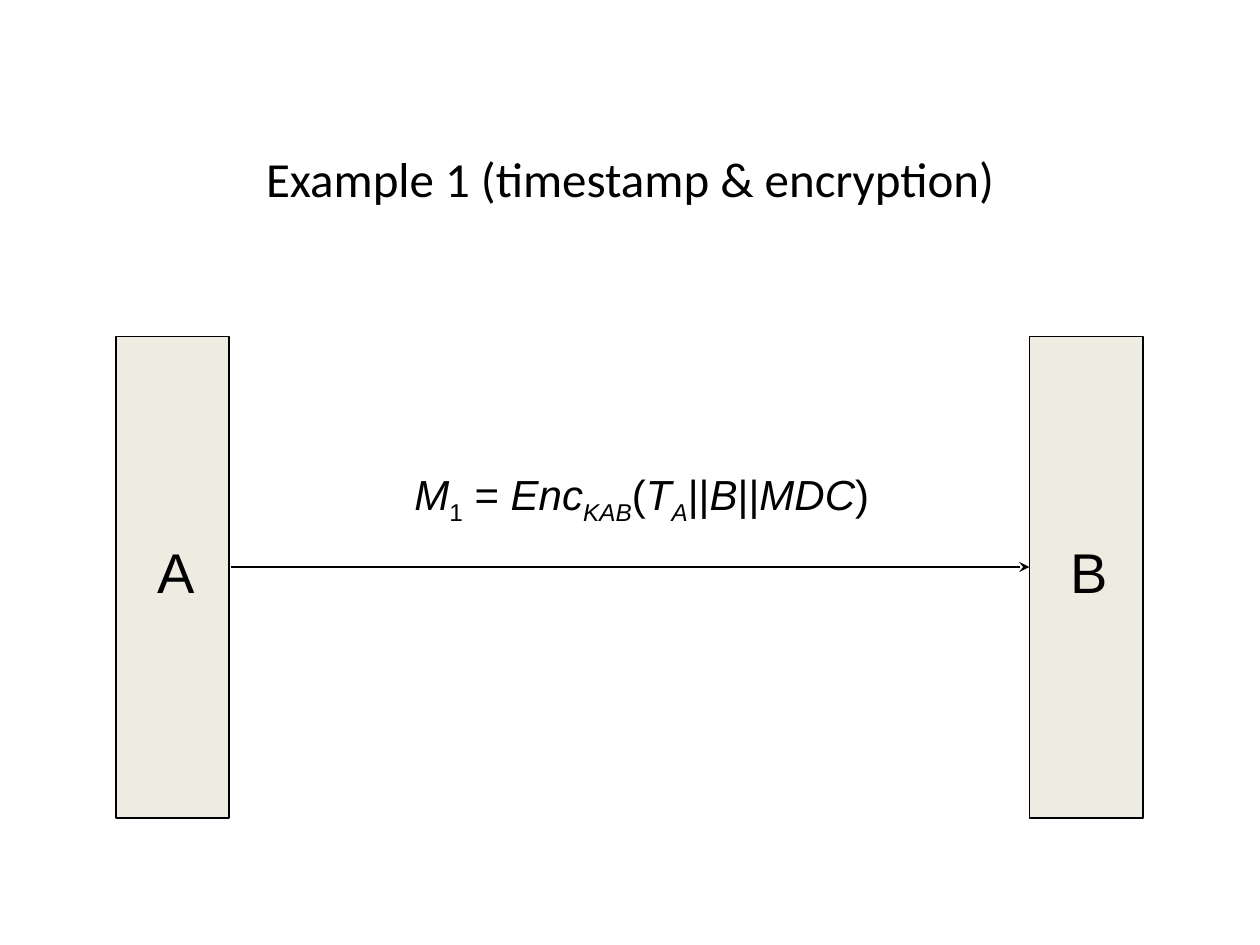
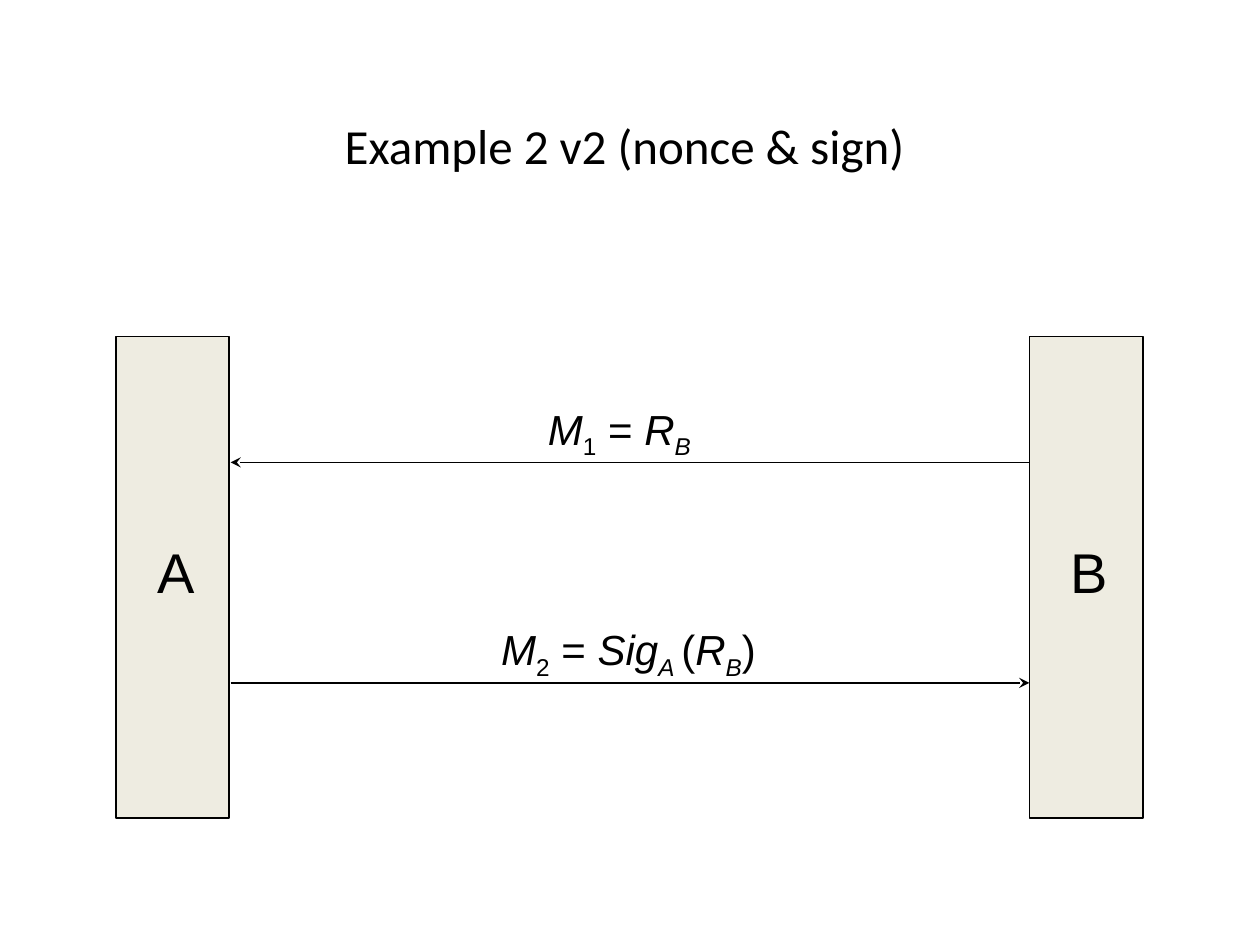
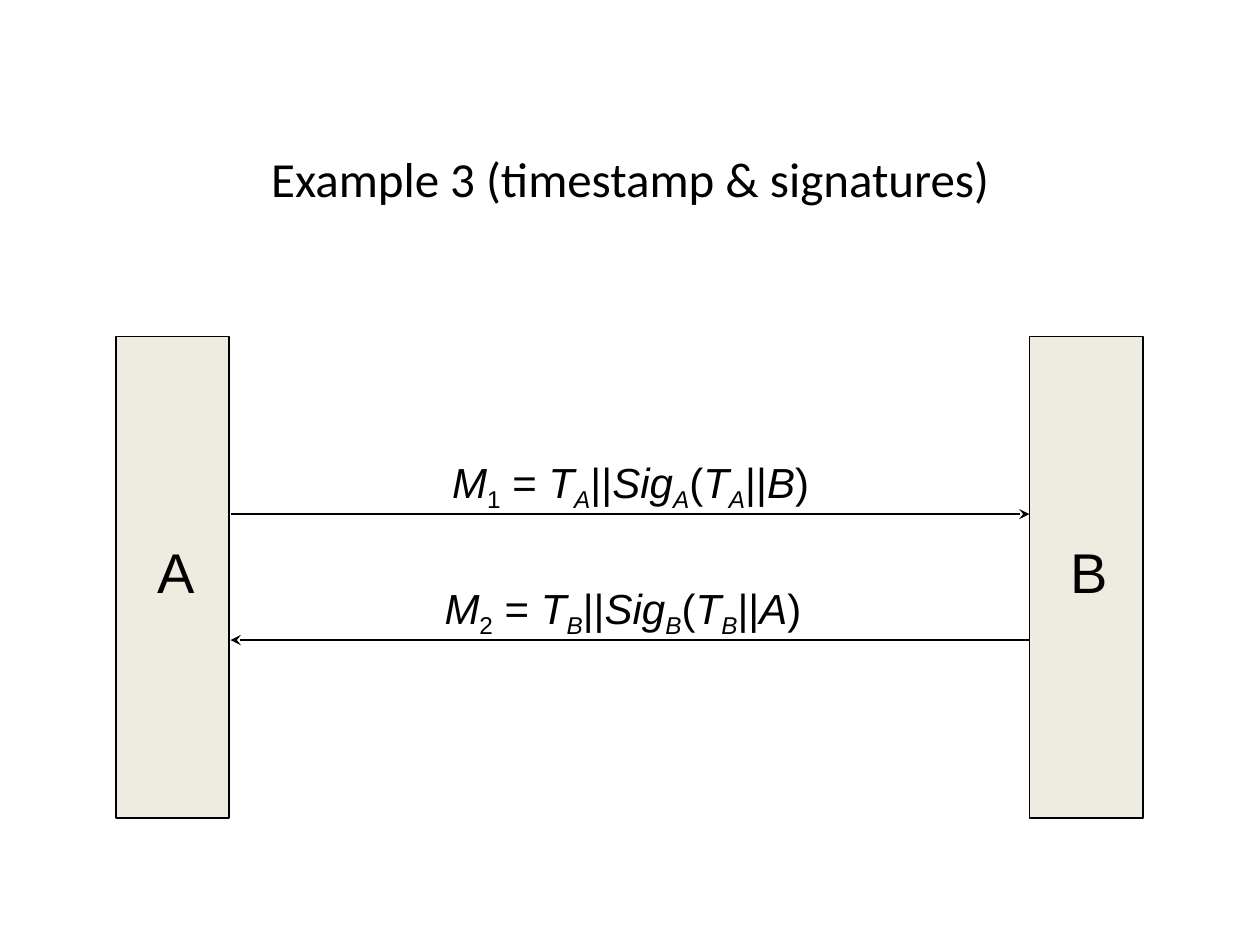
"""Builds three slides of message exchanges between the parties A and B."""
from dataclasses import dataclass
from itertools import groupby

from lxml.etree import SubElement
from pptx import Presentation
from pptx.dml.color import RGBColor
from pptx.enum.shapes import MSO_CONNECTOR, MSO_SHAPE
from pptx.enum.text import MSO_ANCHOR, MSO_AUTO_SIZE, PP_ALIGN
from pptx.oxml.ns import qn
from pptx.util import Inches, Pt

EXAMPLES = [
    {
        "title": "Example 1 (timestamp & encryption)",
        "title_top": 1.13,
        "messages": [
            {"formula": "M_1_ = Enc_KAB_(T_A_||B||MDC)", "sender": "A",
             "arrow_top": 4.5, "label": (3.19, 3.67, 3.91)},
        ],
    },
    {
        "title": "Example 2 v2 (nonce & sign) ",
        "title_top": 0.6,
        "messages": [
            {"formula": "M_1_ = R_B_", "sender": "B",
             "arrow_top": 3.67, "label": (4.25, 3.15, 1.38)},
            {"formula": "M_2_ = Sig_A _(R_B_)", "sender": "A",
             "arrow_top": 5.42, "label": (3.88, 4.9, 2.3)},
        ],
    },
    {
        "title": "Example 3 (timestamp & signatures)",
        "title_top": 1.13,
        "messages": [
            {"formula": "M_1_ = T_A_||Sig_A_(T_A_||B)", "sender": "A",
             "arrow_top": 4.08, "label": (3.49, 3.57, 3.08)},
            {"formula": "M_2_ = T_B_||Sig_B_(T_B_||A)", "sender": "B",
             "arrow_top": 5.08, "label": (3.43, 4.57, 3.2)},
        ],
    },
]

PARTY_LEFTS = {"A": 0.92, "B": 8.17}
PARTY_TOP, PARTY_WIDTH, PARTY_HEIGHT = 2.67, 0.9, 3.82
NAME_OFFSET, NAME_TOP, NAME_WIDTH, NAME_HEIGHT = 0.23, 4.22, 0.5, 0.64
ARROW_ENDS = {"A": 1.83, "B": 8.17}
LABEL_HEIGHT = 0.51
TITLE_LEFT, TITLE_WIDTH, TITLE_BOTTOM = 1.26, 7.48, 1.7


@dataclass(frozen=True)
class Theme:
    """Colours, fonts and sizes that all slides share."""
    ink: RGBColor = RGBColor(0x00, 0x00, 0x00)
    paper: RGBColor = RGBColor(0xFF, 0xFF, 0xFF)
    party: RGBColor = RGBColor(0xEE, 0xEC, 0xE1)
    title_font: str = "Calibri"
    text_font: str = "Arial"
    title_size: Pt = Pt(28)
    name_size: Pt = Pt(32)
    formula_size: Pt = Pt(24)
    line_width: Pt = Pt(1)
    subscript: str = "-25000"


THEME = Theme()


def apply_format(target, values):
    """Set each attribute of target from a dict of values."""
    for name, value in values.items():
        setattr(target, name, value)


def add_run(paragraph, text, font, size, italic=False):
    """Add one run of formatted text."""
    run = paragraph.add_run()
    run.text = text
    apply_format(run.font, {"name": font, "size": size, "italic": italic})
    run.font.color.rgb = THEME.ink
    return run


def set_line(line):
    """Give an outline or connector the shared stroke."""
    line.color.rgb = THEME.ink
    line.width = THEME.line_width


def add_title(slide, text, top):
    """Place the title so that it ends at the shared bottom edge."""
    title = slide.shapes.title
    apply_format(title, {
        "left": Inches(TITLE_LEFT), "top": Inches(top),
        "width": Inches(TITLE_WIDTH), "height": Inches(TITLE_BOTTOM - top)})
    title.fill.solid()
    title.fill.fore_color.rgb = THEME.paper
    apply_format(title.text_frame, {
        "vertical_anchor": MSO_ANCHOR.MIDDLE, "auto_size": MSO_AUTO_SIZE.NONE})
    paragraph = title.text_frame.paragraphs[0]
    paragraph.alignment = PP_ALIGN.CENTER
    add_run(paragraph, text, THEME.title_font, THEME.title_size)


def add_label(slide, left, top, width, height):
    """Add an unwrapped text box and return its paragraph."""
    box = slide.shapes.add_textbox(
        Inches(left), Inches(top), Inches(width), Inches(height))
    apply_format(box.text_frame, {
        "word_wrap": False, "auto_size": MSO_AUTO_SIZE.SHAPE_TO_FIT_TEXT})
    return box.text_frame.paragraphs[0]


def add_party(slide, name, left):
    """Draw the column of one party with its name."""
    column = slide.shapes.add_shape(
        MSO_SHAPE.RECTANGLE, Inches(left), Inches(PARTY_TOP),
        Inches(PARTY_WIDTH), Inches(PARTY_HEIGHT))
    column.shadow.inherit = False
    column.fill.solid()
    column.fill.fore_color.rgb = THEME.party
    set_line(column.line)
    paragraph = add_label(
        slide, left + NAME_OFFSET, NAME_TOP, NAME_WIDTH, NAME_HEIGHT)
    add_run(paragraph, name, THEME.text_font, THEME.name_size)


def add_formula(paragraph, formula):
    """Write letters in italics and parts between underscores as subscripts."""
    for index, part in enumerate(formula.split("_")):
        for is_letter, characters in groupby(part, str.isalpha):
            run = add_run(paragraph, "".join(characters), THEME.text_font,
                          THEME.formula_size, is_letter)
            if index % 2:
                run.font._element.set("baseline", THEME.subscript)


def add_arrow(slide, sender, top):
    """Draw an arrow from the sender to the other party."""
    receiver = "B" if sender == "A" else "A"
    arrow = slide.shapes.add_connector(
        MSO_CONNECTOR.STRAIGHT, Inches(ARROW_ENDS[sender]), Inches(top),
        Inches(ARROW_ENDS[receiver]), Inches(top))
    set_line(arrow.line)
    SubElement(arrow.line._get_or_add_ln(), qn("a:tailEnd"), type="stealth")
    SubElement(arrow._element.spPr, qn("a:effectLst"))


def add_message(slide, message):
    """Draw the arrow and formula of one message."""
    add_arrow(slide, message["sender"], message["arrow_top"])
    paragraph = add_label(slide, *message["label"], LABEL_HEIGHT)
    add_formula(paragraph, message["formula"])


def main():
    """Build and save the presentation."""
    presentation = Presentation()
    presentation.slide_width = Inches(10)
    presentation.slide_height = Inches(7.5)
    title_only = presentation.slide_layouts.get_by_name("Title Only")
    for example in EXAMPLES:
        slide = presentation.slides.add_slide(title_only)
        add_title(slide, example["title"], example["title_top"])
        for name, left in PARTY_LEFTS.items():
            add_party(slide, name, left)
        for message in example["messages"]:
            add_message(slide, message)
    presentation.save("out.pptx")


if __name__ == "__main__":
    main()
